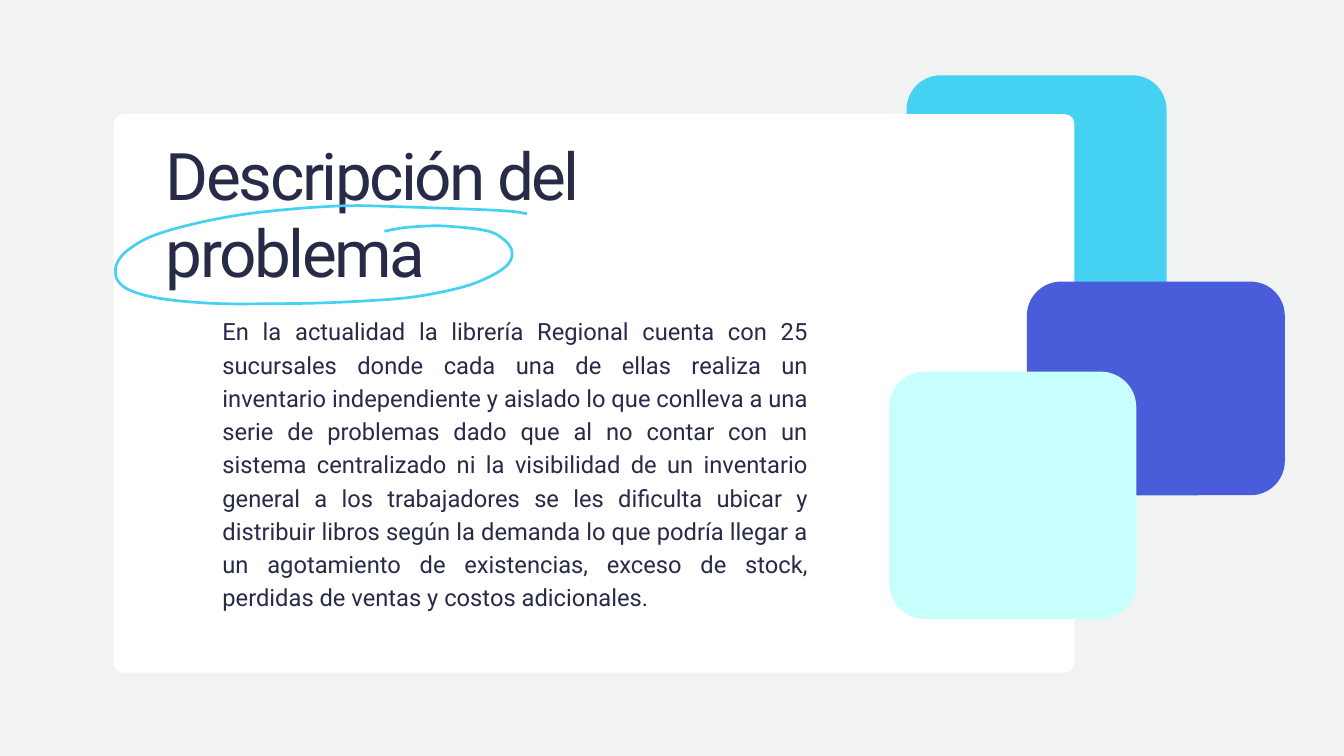
import pptx
import pptx.dml.color
import pptx.enum.shapes
import pptx.enum.text
import pptx.util
from pptx.oxml.xmlchemy import OxmlElement

COLUMNS = 200
INK, SKY, INDIGO, MINT = "272B47", "45D1F2", "495CD9", "C6FFFC"

HEADING = "Descripción del problema"
DESCRIPTION = (
    "En la actualidad la librería Regional cuenta con 25 sucursales donde cada una "
    "de ellas realiza un inventario independiente y aislado lo que conlleva a una "
    "serie de problemas dado que al no contar con un sistema centralizado ni la "
    "visibilidad de un inventario general a los trabajadores se les dificulta ubicar "
    "y distribuir libros según la demanda lo que podría llegar a un agotamiento de "
    "existencias, exceso de stock, perdidas de ventas y costos adicionales."
)
RING = [
    (78.4, 31.8), (74, 31.3), (57.4, 30.7), (52.4, 30.6), (47.5, 30.8),
    (42.4, 31.2), (37.7, 31.7), (33.2, 32.4), (28.9, 33.3), (25.1, 34.3),
    (22, 35.4), (19.6, 36.8), (18.1, 38.1), (17.3, 39.5), (17.2, 40.7),
    (17.5, 41.7), (18.6, 42.8), (20.7, 43.7), (23.8, 44.4), (28, 44.9),
    (33.4, 45.2), (40, 45.2), (47.1, 45.1), (54, 44.8), (60.6, 44.3),
    (66, 43.4), (70.2, 42.3), (73.2, 41), (75.1, 39.8), (76, 38.7),
    (76.2, 37.6), (75.8, 36.5), (74.8, 35.5), (73.3, 34.6), (71.1, 34.1),
    (68.4, 33.8), (65.3, 33.6), (62.3, 33.7), (60, 33.9), (57.2, 34.4),
]


def color(code):
    return pptx.dml.color.RGBColor.from_string(code)


def smooth(points, steps=6):
    padded = [points[0], *points, points[-1]]
    curve = []
    for a, b, c, d in zip(padded, padded[1:], padded[2:], padded[3:]):
        for step in range(steps):
            t = step / steps
            curve.append(tuple(
                q + t * (r - p) / 2
                + t**2 * (2 * p - 5 * q + 4 * r - s) / 2
                + t**3 * (3 * q - p - 3 * r + s) / 2
                for p, q, r, s in zip(a, b, c, d)
            ))
    return curve + [points[-1]]


class Board:
    """Holds the style, the square grid and the current slide."""

    font = "Roboto"

    def __init__(self, deck, background):
        self.cell = deck.slide_width / COLUMNS
        self.slide = deck.slides.add_slide(deck.slide_layouts[1])
        self.slide.background.fill.solid()
        self.slide.background.fill.fore_color.rgb = color(background)

    def span(self, *cells):
        return [round(count * self.cell) for count in cells]

    def card(self, left, top, width, height, radius, fill):
        card = self.slide.shapes.add_shape(
            pptx.enum.shapes.MSO_SHAPE.ROUNDED_RECTANGLE,
            *self.span(left, top, width, height))
        card.adjustments[0] = radius / min(width, height)
        card.shadow.inherit = False
        card.fill.solid()
        card.fill.fore_color.rgb = color(fill)
        card.line.fill.background()

    def stroke(self, points, tint, weight):
        start, *rest = [self.span(*point) for point in smooth(points)]
        builder = self.slide.shapes.build_freeform(*start)
        builder.add_line_segments(rest, close=False)
        stroke = builder.convert_to_shape()
        stroke.shadow.inherit = False
        stroke.fill.background()
        stroke.line.color.rgb = color(tint)
        stroke.line.width = pptx.util.Pt(weight)

    def text(self, index, wording, box, size, leading, align, tracking=0):
        holder = self.slide.placeholders[index]
        self.slide.shapes._spTree.append(holder._element)
        holder.left, holder.top, holder.width, holder.height = self.span(*box)
        frame = holder.text_frame
        frame.text = wording
        frame.word_wrap = True
        frame.auto_size = pptx.enum.text.MSO_AUTO_SIZE.NONE
        frame.vertical_anchor = pptx.enum.text.MSO_ANCHOR.TOP
        frame.margin_left = frame.margin_right = 0
        frame.margin_top = frame.margin_bottom = 0
        paragraph = frame.paragraphs[0]
        properties = paragraph._p.get_or_add_pPr()
        properties.set("marL", "0")
        properties.set("indent", "0")
        properties.append(OxmlElement("a:buNone"))
        paragraph.alignment = align
        paragraph.line_spacing = pptx.util.Pt(leading)
        paragraph.space_before = pptx.util.Pt(0)
        run = paragraph.runs[0]
        run.font.name = self.font
        run.font.size = pptx.util.Pt(size)
        run.font.color.rgb = color(INK)
        run._r.get_or_add_rPr().set("spc", str(round(tracking * 100)))


def main():
    deck = pptx.Presentation()
    deck.slide_width = pptx.util.Inches(20)
    deck.slide_height = pptx.util.Inches(11.25)
    board = Board(deck, "F1F2F2")
    align = pptx.enum.text.PP_ALIGN

    board.card(134.9, 11.2, 38.7, 35.8, 5.1, SKY)
    board.card(16.9, 17, 143, 83.1, 1.4, "FFFFFF")
    board.card(152.8, 41.9, 38.4, 31.8, 5.1, INDIGO)
    board.card(132.3, 55.3, 36.8, 36.8, 5.3, MINT)
    board.text(0, HEADING, (24.7, 20.2, 97.7, 22.9), 70.3, 83, align.LEFT, -2.7)
    board.stroke(RING, SKY, 2.9)
    board.text(1, DESCRIPTION, (33.1, 46.5, 87.2, 43.9), 25.4, 35.6, align.JUSTIFY)
    deck.save("out.pptx")


if __name__ == "__main__":
    main()
